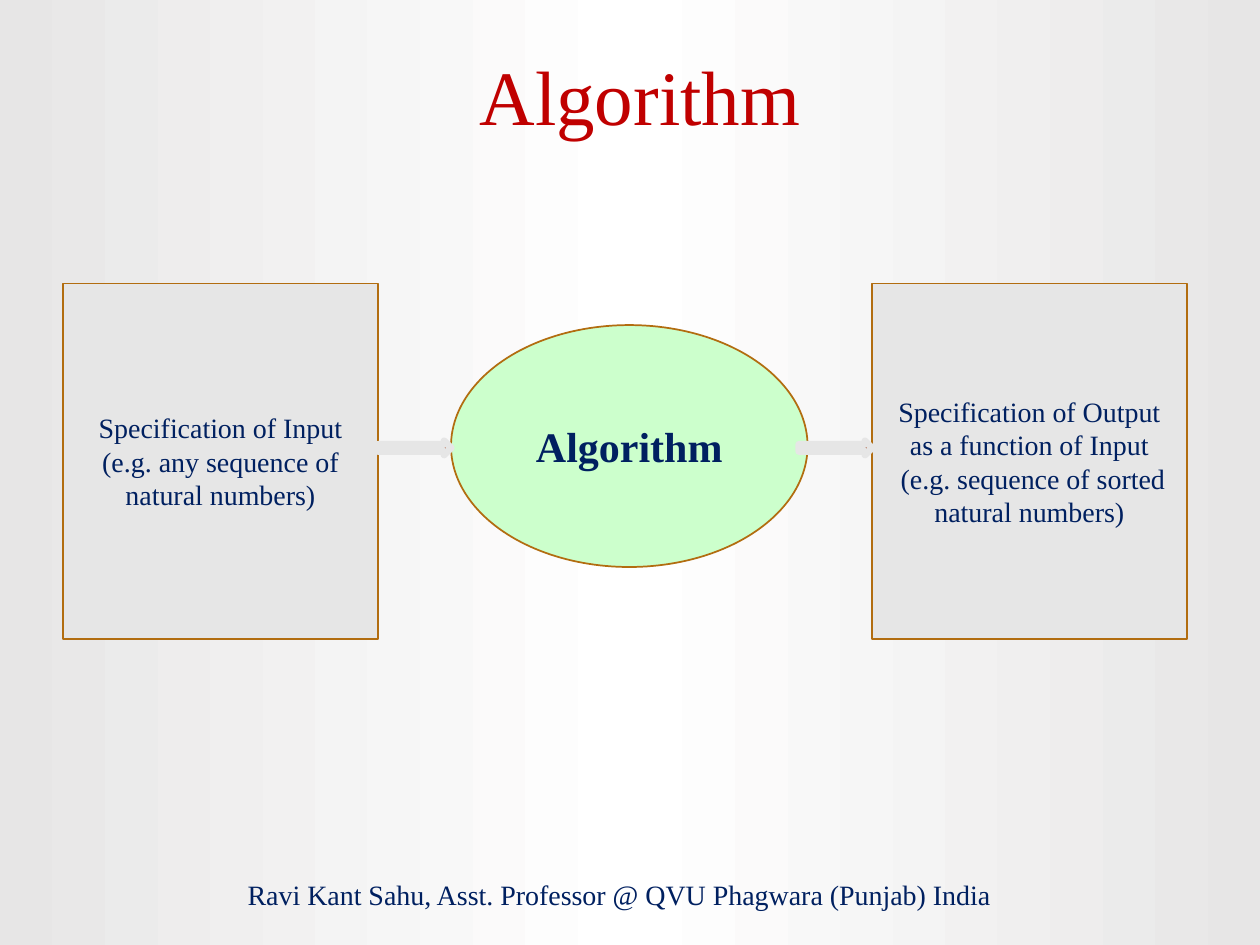
from copy import deepcopy

from pptx import Presentation
from pptx.dml.color import RGBColor
from pptx.enum.shapes import MSO_SHAPE
from pptx.enum.text import MSO_ANCHOR, MSO_AUTO_SIZE, PP_ALIGN
from pptx.oxml.ns import qn
from pptx.util import Inches, Pt

ELLIPSE = MSO_SHAPE.OVAL
RECTANGLE = MSO_SHAPE.RECTANGLE
ARROW = MSO_SHAPE.RIGHT_ARROW
MIDDLE = MSO_ANCHOR.MIDDLE
BOTTOM = MSO_ANCHOR.BOTTOM
CENTER = PP_ALIGN.CENTER
GROW = MSO_AUTO_SIZE.SHAPE_TO_FIT_TEXT

COLORS = {
    "edge": "E7E6E6",
    "white": "FFFFFF",
    "title": "C00000",
    "text": "002060",
    "process": "CCFFCC",
    "box": "E6E6E6",
    "outline": "B26D10",
    "arrow": "9D360E",
}
FONT = "Times New Roman"


def color(name):
    return RGBColor.from_string(COLORS[name])


def set_text(shape, text, size, color_name="text", anchor=MIDDLE, bold=False):
    """Write one centred paragraph; a vertical tab breaks the line."""
    frame = shape.text_frame
    for name, value in {"word_wrap": True, "vertical_anchor": anchor}.items():
        setattr(frame, name, value)
    paragraph = frame.paragraphs[0]
    paragraph.text = text
    paragraph.alignment = CENTER
    font_format = {"name": FONT, "size": Pt(size), "bold": bold}
    for run in paragraph.runs:
        for name, value in font_format.items():
            setattr(run.font, name, value)
        run.font.color.rgb = color(color_name)


def add_block(slide, kind, box, fill, line, width):
    shape = slide.shapes.add_shape(kind, *map(Inches, box))
    shape.shadow.inherit = False
    shape.fill.solid()
    shape.fill.fore_color.rgb = color(fill)
    shape.line.color.rgb = color(line)
    shape.line.width = Pt(width)
    return shape


def set_background(slide):
    fill = slide.background.fill
    fill.gradient()
    fill.gradient_angle = 0
    stop_list = slide.element.find(".//" + qn("a:gsLst"))
    stop_list.append(deepcopy(stop_list[-1]))
    stops = zip(fill.gradient_stops, (0, 0.5, 1), ("edge", "white", "edge"))
    for stop, position, name in stops:
        stop.position = position
        stop.color.rgb = color(name)


def add_title(slide, box):
    title = slide.shapes.title
    title.left, title.top, title.width, title.height = map(Inches, box)
    set_text(title, "Algorithm", 44, "title")
    title.text_frame.auto_size = GROW


def add_footer(slide, box):
    footer = slide.shapes.add_textbox(*map(Inches, box))
    frame = footer.text_frame
    for side in ("left", "top", "right", "bottom"):
        setattr(frame, f"margin_{side}", Inches(0.1))
    set_text(footer, "Ravi Kant Sahu, Asst. Professor @ QVU Phagwara (Punjab) India",
             16, anchor=BOTTOM)


def add_flow(slide, box):
    """Input box, process ellipse and output box, joined by two arrows."""
    left, top, width, height = box
    box_width = 2.5
    output_left = left + width - box_width

    # Process
    process = add_block(slide, ELLIPSE, (left + 3.08, top + 0.33, 2.83, 1.92),
                        "process", "outline", 1)
    set_text(process, "Algorithm", 24, bold=True)

    # Input and output
    specifications = (
        (left, "Specification of Input\v(e.g. any sequence of natural numbers)"),
        (output_left, "Specification of Output as a function of Input\v"
                      " (e.g. sequence of sorted natural numbers)"),
    )
    for box_left, text in specifications:
        block = add_block(slide, RECTANGLE, (box_left, top, box_width, height),
                          "box", "outline", 1)
        set_text(block, text, 16)

    # Arrows
    arrow_width = 0.58
    for arrow_left in (left + box_width, output_left - arrow_width):
        add_block(slide, ARROW, (arrow_left, top + 1.25, arrow_width, 0.11),
                  "arrow", "box", 4)


def main():
    presentation = Presentation()
    presentation.slide_width = Inches(10)
    presentation.slide_height = Inches(7.5)
    title_only = presentation.slide_layouts[5]
    slide = presentation.slides.add_slide(title_only)
    set_background(slide)
    add_title(slide, (0.83, 0.33, 8.5, 0.84))
    add_footer(slide, (1.08, 6.83, 7.67, 0.5))
    add_flow(slide, (0.5, 2.25, 8.92, 2.82))
    presentation.save("out.pptx")


if __name__ == "__main__":
    main()
